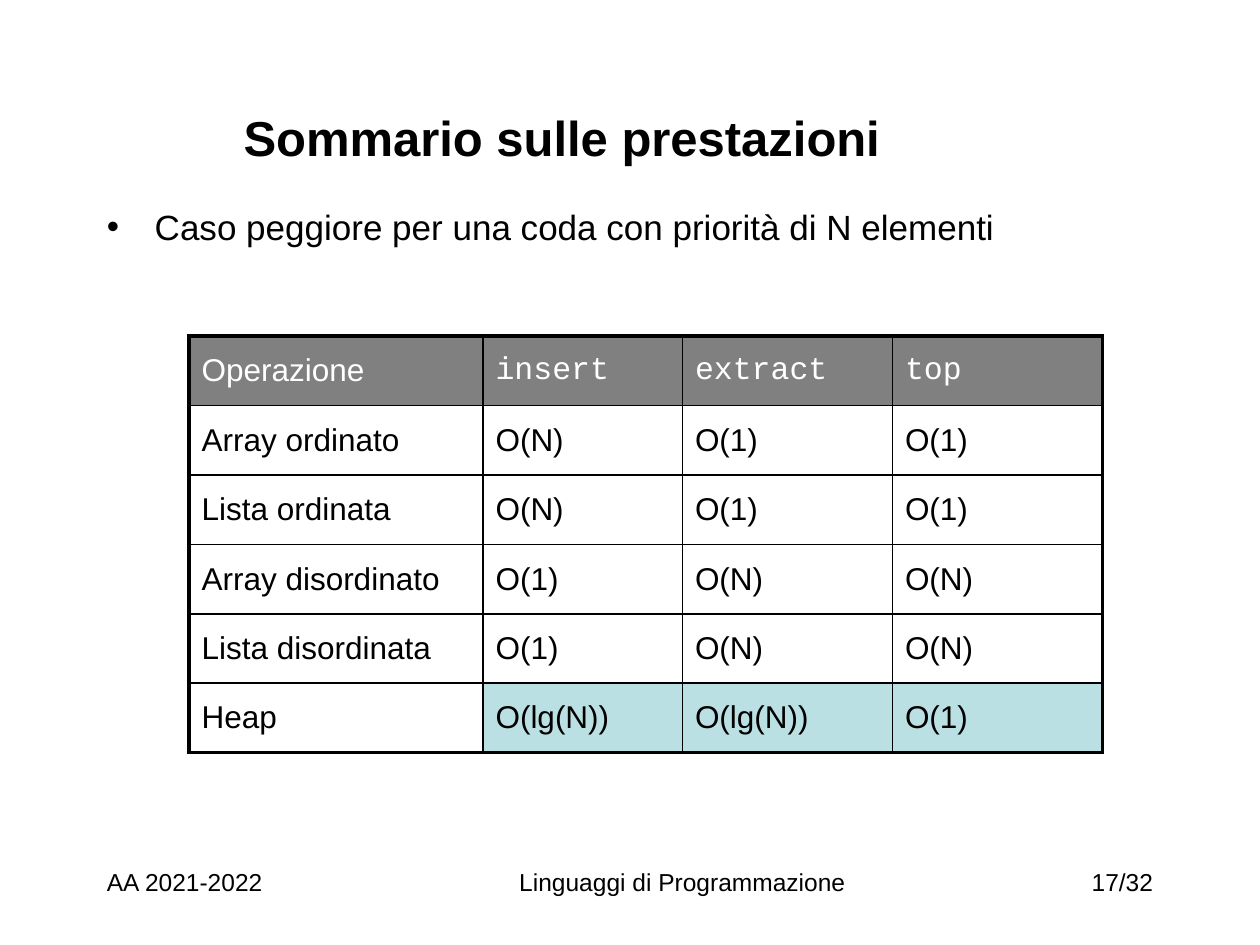
from lxml.etree import SubElement
from pptx import Presentation
from pptx.dml.color import RGBColor
from pptx.enum.text import MSO_ANCHOR, PP_ALIGN
from pptx.oxml.ns import qn
from pptx.util import Inches, Pt

SLIDE_WIDTH, SLIDE_HEIGHT = Inches(10), Inches(7.5)
GRID_COLUMNS, GRID_ROWS = 120, 90
BLACK, WHITE, GREY, AQUA = "000000", "FFFFFF", "808080", "BBE0E3"
COLUMN_SPANS = (28, 19, 20, 20)
COSTS = (
    ("Operazione", "insert", "extract", "top"),
    ("Array ordinato", "O(N)", "O(1)", "O(1)"),
    ("Lista ordinata", "O(N)", "O(1)", "O(1)"),
    ("Array disordinato", "O(1)", "O(N)", "O(N)"),
    ("Lista disordinata", "O(1)", "O(N)", "O(N)"),
    ("Heap", "O(lg(N))", "O(lg(N))", "O(1)"),
)
FOOTERS = (
    ("AA 2021-2022", PP_ALIGN.LEFT, 9, 30),
    ("Linguaggi di Programmazione", PP_ALIGN.CENTER, 38, 54),
    ("17/32", PP_ALIGN.RIGHT, 87, 24),
)


def color(hex_string):
    """Turn a hex string into a colour."""
    return RGBColor.from_string(hex_string)


def grid_box(column, row, columns, rows):
    """Turn grid columns and rows into left, top, width and height."""
    unit_x, unit_y = SLIDE_WIDTH / GRID_COLUMNS, SLIDE_HEIGHT / GRID_ROWS
    return (round(column * unit_x), round(row * unit_y),
            round(columns * unit_x), round(rows * unit_y))


def write(frame, text, size, font="Arial", ink=BLACK, bold=False, align=PP_ALIGN.LEFT):
    """Set one formatted paragraph in a text frame and return it."""
    frame.text = text
    frame.word_wrap = True
    paragraph = frame.paragraphs[0]
    paragraph.alignment = align
    for run in paragraph.runs:
        run.font.name, run.font.size, run.font.bold = font, Pt(size), bold
        run.font.color.rgb = color(ink)
    return paragraph


def place_title(slide, box):
    """Place the slide heading in its placeholder."""
    heading = slide.shapes.title
    heading.left, heading.top, heading.width, heading.height = box
    write(heading.text_frame, "Sommario sulle prestazioni", 28, bold=True)
    heading.text_frame.vertical_anchor = MSO_ANCHOR.MIDDLE


def place_statement(slide, box):
    """Place the bulleted statement above the table."""
    frame = slide.shapes.add_textbox(*box).text_frame
    statement = write(frame, "Caso peggiore per una coda con priorità di N elementi", 20)
    statement.space_before = Pt(4)
    properties = statement._p.get_or_add_pPr()
    properties.set("marL", str(Inches(0.38)))
    properties.set("indent", str(Inches(-0.38)))
    SubElement(properties, qn("a:buFont"), typeface="Arial")
    SubElement(properties, qn("a:buChar"), char="•")


def draw_borders(cell, outer_edges):
    """Draw thick outer and thin inner borders around a cell."""
    properties = cell._tc.get_or_add_tcPr()
    for edge, is_outer in zip("LRTB", outer_edges):
        border = SubElement(properties, qn(f"a:ln{edge}"), w=str(Pt(2.25 if is_outer else 1)))
        SubElement(SubElement(border, qn("a:solidFill")), qn("a:srgbClr"), val=BLACK)


def place_cost_table(slide, box):
    """Place the table of worst-case costs."""
    last_row, last_column = len(COSTS) - 1, len(COLUMN_SPANS) - 1
    table = slide.shapes.add_table(len(COSTS), len(COLUMN_SPANS), *box).table
    for column, span in zip(table.columns, COLUMN_SPANS):
        column.width = round(box[2] * span / sum(COLUMN_SPANS))
    for r, costs in enumerate(COSTS):
        table.rows[r].height = round(box[3] / len(COSTS))
        for c, label in enumerate(costs):
            cell = table.cell(r, c)
            is_header = r == 0
            draw_borders(cell, (c == 0, c == last_column, is_header, r == last_row))
            cell.vertical_anchor = MSO_ANCHOR.MIDDLE
            font = "Courier New" if is_header and c else "Arial"
            entry = write(cell.text_frame, label, 18, font, WHITE if is_header else BLACK)
            entry.space_before = Pt(3.6)
            if is_header or (r == last_row and c):
                cell.fill.solid()
                cell.fill.fore_color.rgb = color(GREY if is_header else AQUA)
            else:
                cell.fill.background()


def place_footers(slide, row, rows):
    """Place the year, course and page number along the bottom."""
    for text, align, column, columns in FOOTERS:
        footer = slide.shapes.add_textbox(*grid_box(column, row, columns, rows))
        write(footer.text_frame, text, 14, align=align)


def main():
    """Build and save the slide."""
    presentation = Presentation()
    presentation.slide_width, presentation.slide_height = SLIDE_WIDTH, SLIDE_HEIGHT
    slide = presentation.slides.add_slide(presentation.slide_layouts[5])
    place_footers(slide, 82, 6)
    place_title(slide, grid_box(22, 8, 89, 10))
    place_statement(slide, grid_box(9, 19, 102, 61))
    place_cost_table(slide, grid_box(18, 32, 87, 39.7))
    presentation.save("out.pptx")


if __name__ == "__main__":
    main()
